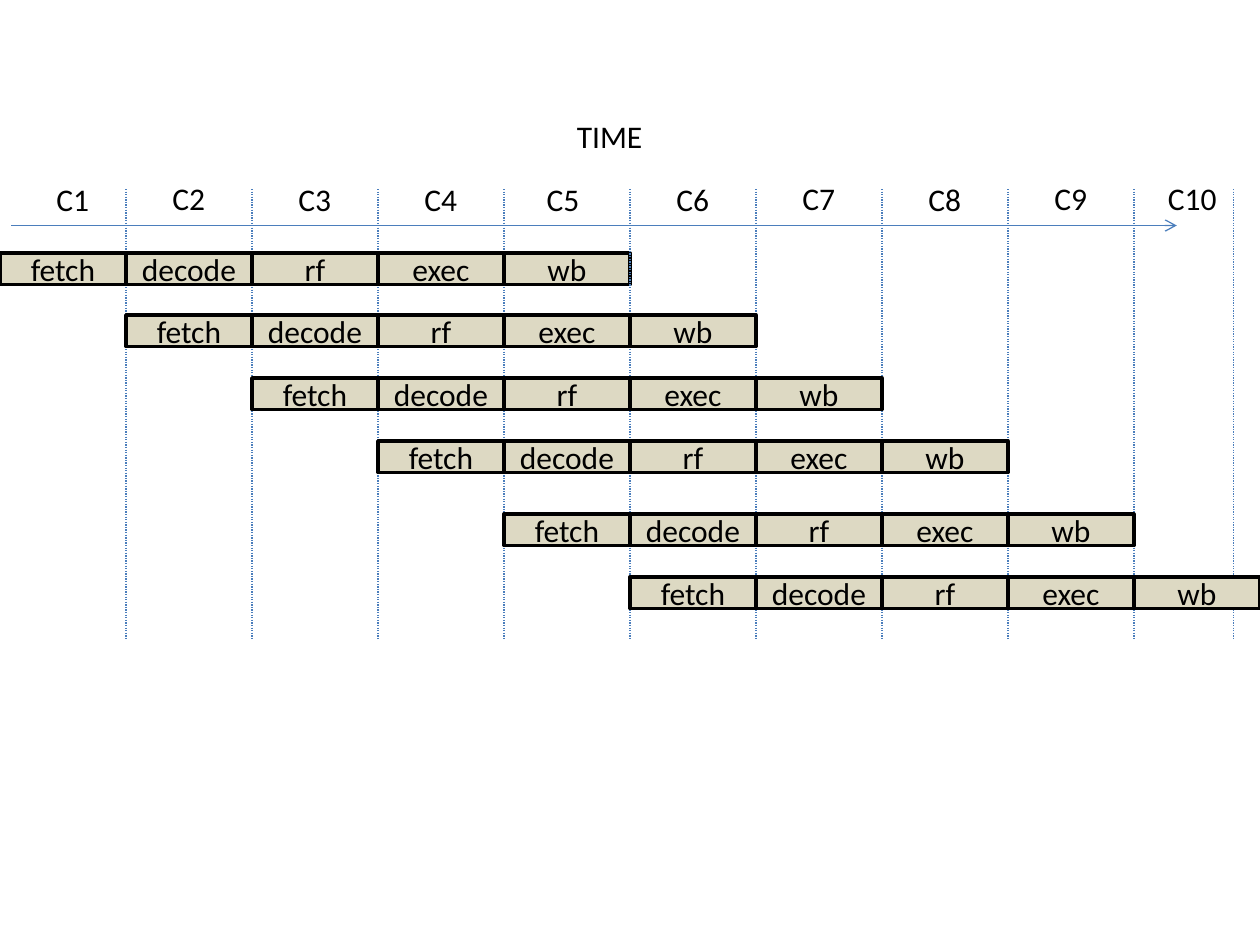
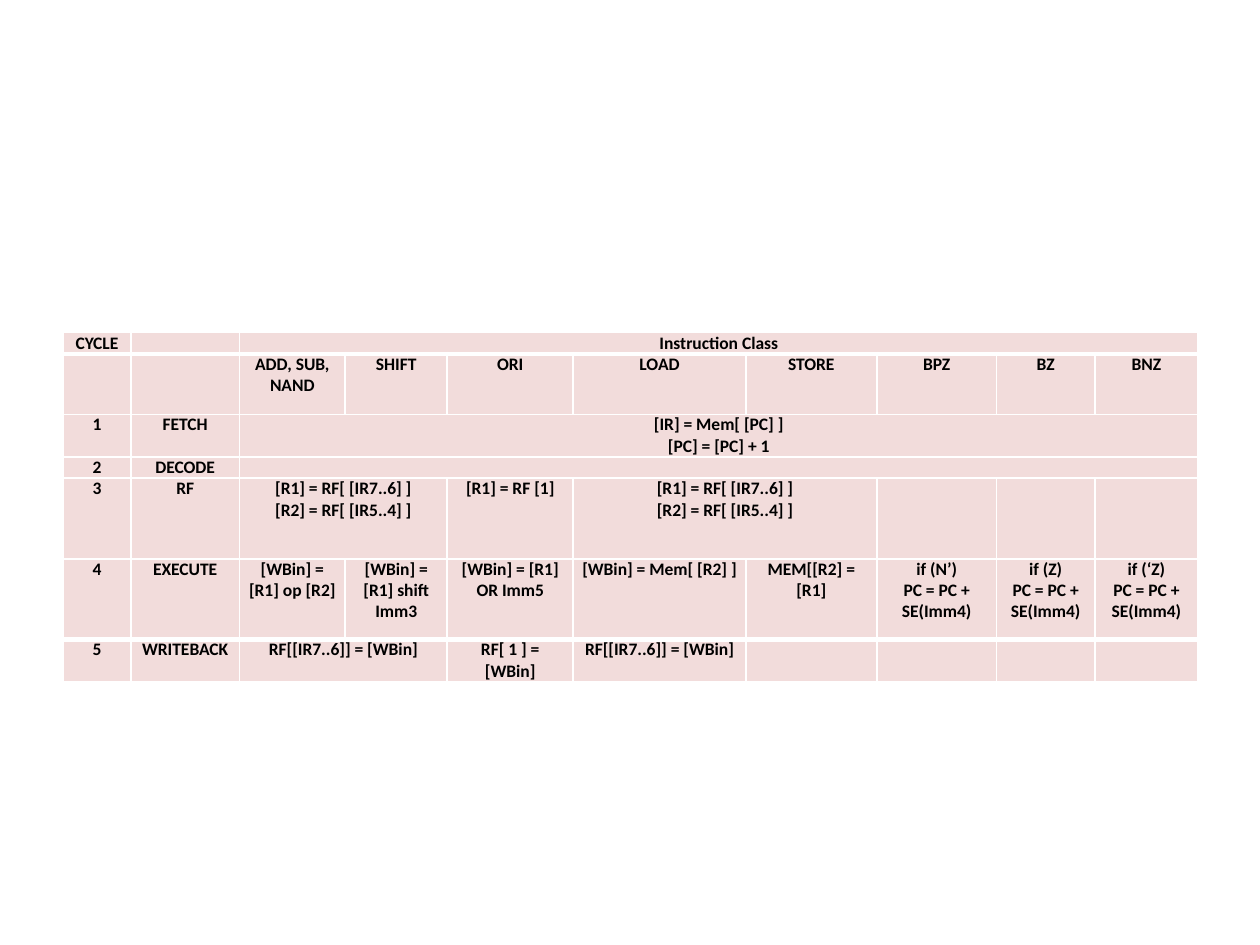
"""Build two slides: a five-stage pipeline timing diagram and its cycle table."""
from lxml import etree
from pptx import Presentation
from pptx.dml.color import RGBColor
from pptx.enum.dml import MSO_LINE
from pptx.enum.shapes import MSO_CONNECTOR, MSO_SHAPE
from pptx.enum.text import MSO_ANCHOR, MSO_AUTO_SIZE, PP_ALIGN
from pptx.oxml.ns import qn
from pptx.util import Inches, Pt

STRAIGHT, RECTANGLE = MSO_CONNECTOR.STRAIGHT, MSO_SHAPE.RECTANGLE
DOTTED, CENTER, LEFT = MSO_LINE.ROUND_DOT, PP_ALIGN.CENTER, PP_ALIGN.LEFT
MIDDLE, GROW = MSO_ANCHOR.MIDDLE, MSO_AUTO_SIZE.SHAPE_TO_FIT_TEXT

FONT = "Calibri"
COLOURS = {"text": "000000", "stage": "DDD9C3", "guide": "4B7EBC",
           "cell": "F2DCDB", "border": "FFFFFF"}

STAGES = ["fetch", "decode", "rf", "exec", "wb"]
INSTRUCTION_TOPS = [2.01, 2.5, 3, 3.5, 4.08, 4.58]
CYCLE_LABELS = [("C1", 0.35, 1.38), ("C2", 1.27, 1.37), ("C3", 2.27, 1.38),
                ("C4", 3.27, 1.38), ("C5", 4.24, 1.38), ("C6", 5.27, 1.38),
                ("C7", 6.27, 1.37), ("C8", 7.27, 1.38), ("C9", 8.27, 1.37),
                ("C10", 9.17, 1.37)]
BACK_GUIDES = [1, 2, 3, 4, 9.79]
FRONT_GUIDES = [5, 6, 7, 8, 9]
GUIDE_TOP, GUIDE_BOTTOM = 1.5, 5.08
STAGE_WIDTH, STAGE_HEIGHT = 1, 0.25

READ_REGISTERS = "[R1] = RF[ [IR7..6] ]\n[R2] = RF[ [IR5..4] ]"
WRITE_REGISTER = "RF[[IR7..6]] = [WBin]"
BRANCH = "PC = PC + SE(Imm4)"
COLUMN_WIDTHS = [0.54, 0.86, 0.84, 0.81, 1, 1.37, 1.04, 0.95, 0.78, 0.82]
ROW_UNIT = 0.16
CYCLE_ROWS = [
    (1, {0: "CYCLE", 2: "Instruction Class"}),
    (3, {2: "ADD, SUB, NAND", 3: "SHIFT", 4: "ORI", 5: "LOAD", 6: "STORE",
         7: "BPZ", 8: "BZ", 9: "BNZ"}),
    (2, {0: "1", 1: "FETCH", 2: "[IR] = Mem[ [PC] ]\n[PC] = [PC] + 1"}),
    (1, {0: "2", 1: "DECODE"}),
    (4, {0: "3", 1: "RF", 2: READ_REGISTERS, 4: "[R1] = RF [1]",
         5: READ_REGISTERS}),
    (4, {0: "4", 1: "EXECUTE", 2: "[WBin] = [R1] op [R2]",
         3: "[WBin] = [R1] shift Imm3", 4: "[WBin] = [R1] OR Imm5",
         5: "[WBin] = Mem[ [R2] ]", 6: "MEM[[R2] = [R1]",
         7: f"if (N’)\n{BRANCH}", 8: f"if (Z)\n{BRANCH}",
         9: f"if (‘Z)\n{BRANCH}"}),
    (2, {0: "5", 1: "WRITEBACK", 2: WRITE_REGISTER, 4: "RF[ 1 ] = [WBin]",
         5: WRITE_REGISTER}),
]
MERGES = [(0, 2, 9), (2, 2, 9), (3, 2, 9), (4, 2, 3), (4, 5, 6), (6, 2, 3)]
THICK_RULES = {1, 6}


def colour(key):
    return RGBColor.from_string(COLOURS[key])


def write(frame, text, size, align=CENTER, bold=False):
    frame.text = text
    for paragraph in frame.paragraphs:
        paragraph.alignment = align
        for run in paragraph.runs:
            run.font.name, run.font.size, run.font.bold = FONT, Pt(size), bold
            run.font.color.rgb = colour("text")


def add_label(slide, text, left, top, width):
    frame = slide.shapes.add_textbox(
        Inches(left), Inches(top), Inches(width), Inches(0.4)).text_frame
    write(frame, text, 18, LEFT)
    frame.word_wrap = False
    frame.auto_size = GROW


def add_line(slide, *ends):
    line = slide.shapes.add_connector(STRAIGHT, *map(Inches, ends))
    line.line.color.rgb = colour("guide")
    line.line.width = Pt(0.75)
    etree.SubElement(line._element.spPr, qn("a:effectLst"))
    return line


def add_guides(slide, positions):
    for x in positions:
        add_line(slide, x, GUIDE_TOP, x, GUIDE_BOTTOM).line.dash_style = DOTTED


def add_instruction(slide, start, top):
    for cycle, stage in enumerate(STAGES, start):
        box = slide.shapes.add_shape(
            RECTANGLE, Inches(cycle * STAGE_WIDTH), Inches(top),
            Inches(STAGE_WIDTH), Inches(STAGE_HEIGHT))
        box.shadow.inherit = False
        box.fill.solid()
        box.fill.fore_color.rgb = colour("stage")
        box.line.color.rgb = colour("text")
        box.line.width = Pt(2)
        box.text_frame.vertical_anchor = MIDDLE
        write(box.text_frame, stage, 18)


def build_pipeline(slide):
    time_axis = add_line(slide, 0.09, 1.79, 9.34, 1.79)
    etree.SubElement(time_axis.line._get_or_add_ln(), qn("a:tailEnd"), type="arrow")
    add_label(slide, "TIME", 4.48, 0.88, 0.73)
    add_guides(slide, BACK_GUIDES)
    for start, top in enumerate(INSTRUCTION_TOPS):
        add_instruction(slide, start, top)
        if start == 0:
            add_guides(slide, FRONT_GUIDES)
    for text, left, top in CYCLE_LABELS:
        add_label(slide, text, left, top, 0.46 if len(text) == 2 else 0.59)


def add_borders(cell, row):
    widths = {"lnL": 1, "lnR": 1, "lnT": 3 if row in THICK_RULES else 1,
              "lnB": 3 if row + 1 in THICK_RULES else 1}
    properties = cell._tc.get_or_add_tcPr()
    for side, width in widths.items():
        border = etree.SubElement(properties, qn(f"a:{side}"), w=str(Pt(width)))
        fill = etree.SubElement(border, qn("a:solidFill"))
        etree.SubElement(fill, qn("a:srgbClr"), val=COLOURS["border"])


def format_cell(cell, row, text):
    cell.margin_left = cell.margin_right = Inches(0.06)
    cell.margin_top = cell.margin_bottom = 0
    add_borders(cell, row)
    cell.fill.solid()
    cell.fill.fore_color.rgb = colour("cell")
    write(cell.text_frame, text, 10, bold=True)
    if not text:
        end = cell.text_frame.paragraphs[0]._p.get_or_add_endParaRPr()
        end.set("sz", "1000")


def build_cycle_table(slide):
    units = [height for height, _ in CYCLE_ROWS]
    table = slide.shapes.add_table(
        len(CYCLE_ROWS), len(COLUMN_WIDTHS), Inches(0.5), Inches(2.64),
        Inches(sum(COLUMN_WIDTHS)), Inches(sum(units) * ROW_UNIT)).table
    table.first_row = table.horz_banding = False
    for column, width in zip(table.columns, COLUMN_WIDTHS):
        column.width = Inches(width)
    for row, (height, texts) in enumerate(CYCLE_ROWS):
        table.rows[row].height = Inches(height * ROW_UNIT)
        for column in range(len(COLUMN_WIDTHS)):
            format_cell(table.cell(row, column), row, texts.get(column, ""))
    for row, first, last in MERGES:
        table.cell(row, first).merge(table.cell(row, last))


def main():
    deck = Presentation()
    deck.slide_width, deck.slide_height = Inches(10), Inches(7.5)
    blank = deck.slide_layouts[6]
    for build in (build_pipeline, build_cycle_table):
        build(deck.slides.add_slide(blank))
    deck.save("out.pptx")


if __name__ == "__main__":
    main()
